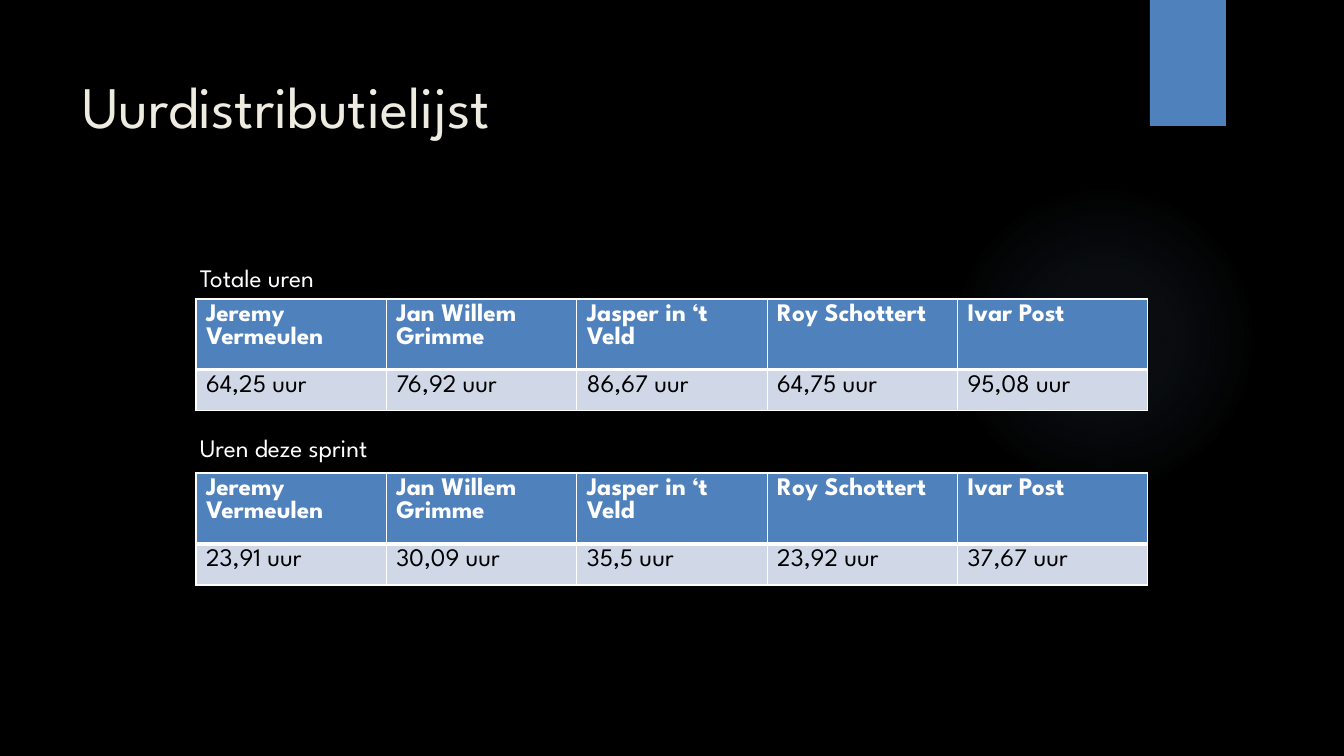
from pptx import Presentation
from pptx.dml.color import RGBColor as RGB
from pptx.enum.shapes import MSO_SHAPE as SHAPE
from pptx.enum.text import MSO_ANCHOR as ANCHOR, PP_ALIGN as ALIGN
from pptx.oxml import parse_xml
from pptx.oxml.ns import nsdecls
from pptx.util import Emu, Pt

HUES = {"back": "000000", "blue": "4F81BD", "pale": "D0D8E8", "glow": "8EB4E3",
        "cream": "EEECE1", "white": "FFFFFF", "black": "000000"}
FACE = "League Spartan"


def px(n):
    return Emu(round(n * 914400 / 100.8))


def style(par, size, hue, bold=False):
    par.alignment = ALIGN.LEFT
    font = par.font
    font.name, font.size, font.bold = FACE, Pt(size), bold
    font.color.rgb = RGB.from_string(HUES[hue])


deck = Presentation()
deck.slide_width, deck.slide_height = px(1344), px(756)
slide = deck.slides.add_slide(deck.slide_layouts[5])
slide.background.fill.solid()
slide.background.fill.fore_color.rgb = RGB.from_string(HUES["back"])
shapes = slide.shapes

# Soft glow, fading outwards
glow = shapes.add_shape(SHAPE.OVAL, px(949), px(184), px(310), px(310))
glow.shadow.inherit = False
glow.line.fill.background()
stops = "".join(
    f'<a:gs pos="{at}000"><a:srgbClr val="{HUES["glow"]}">'
    f'<a:alpha val="{alpha}000"/></a:srgbClr></a:gs>'
    for at, alpha in [(0, 7), (36, 6), (69, 0), (100, 0)])
glow._element.spPr.insert(2, parse_xml(
    f'<a:gradFill {nsdecls("a")} rotWithShape="1"><a:gsLst>{stops}</a:gsLst>'
    '<a:path path="circle"><a:fillToRect l="50000" t="50000" r="50000" b="50000"/>'
    '</a:path></a:gradFill>'))

# Blue tab at the top edge
tab = shapes.add_shape(SHAPE.RECTANGLE, px(1150), 0, px(76), px(126))
tab.shadow.inherit = False
tab.fill.solid()
tab.fill.fore_color.rgb = RGB.from_string(HUES["blue"])
tab.line.fill.background()

# Title
title = shapes.title
title.left, title.top, title.width, title.height = px(72), px(50), px(1037), px(154)
frame = title.text_frame
frame.text = "Uurdistributielijst"
frame.vertical_anchor = ANCHOR.TOP
frame.margin_top = px(20)
style(frame.paragraphs[0], 42, "cream")

# Labelled hour tables: label, label top, table top, header height, hours
names = ["Jeremy Vermeulen", "Jan Willem Grimme", "Jasper in ‘t Veld",
         "Roy Schottert", "Ivar Post"]
parts = [
    ("Totale uren", 252, 299, 57, ["64,25", "76,92", "86,67", "64,75", "95,08"]),
    ("Uren deze sprint", 422, 473, 71, ["23,91", "30,09", "35,5", "23,92", "37,67"]),
]
for label, top, start, head, hours in parts:
    box = shapes.add_textbox(px(190), px(top), px(217), px(40))
    frame = box.text_frame
    frame.word_wrap = False
    frame.margin_top = px(10)
    frame.text = label
    style(frame.paragraphs[0], 18, "white")

    grid = shapes.add_table(2, 5, px(196), px(start), px(952), px(head + 41)).table
    grid.horz_banding = False
    grid.rows[0].height, grid.rows[1].height = px(head), px(41)
    rows = [names, [f"{hour} uur" for hour in hours]]
    looks = [("blue", "white", True), ("pale", "black", False)]
    for r, (texts, (fill, ink, bold)) in enumerate(zip(rows, looks)):
        for c, text in enumerate(texts):
            cell = grid.cell(r, c)
            cell.text = text
            style(cell.text_frame.paragraphs[0], 18, ink, bold)
            # White borders, thick between the two rows
            props = cell._tc.get_or_add_tcPr()
            for side in "LRTB":
                thick = (r, side) in [(0, "B"), (1, "T")]
                props.append(parse_xml(
                    f'<a:ln{side} {nsdecls("a")} w="{Pt(3 if thick else 1)}"><a:solidFill>'
                    f'<a:srgbClr val="{HUES["white"]}"/></a:solidFill></a:ln{side}>'))
            cell.fill.solid()
            cell.fill.fore_color.rgb = RGB.from_string(HUES[fill])

deck.save("out.pptx")
